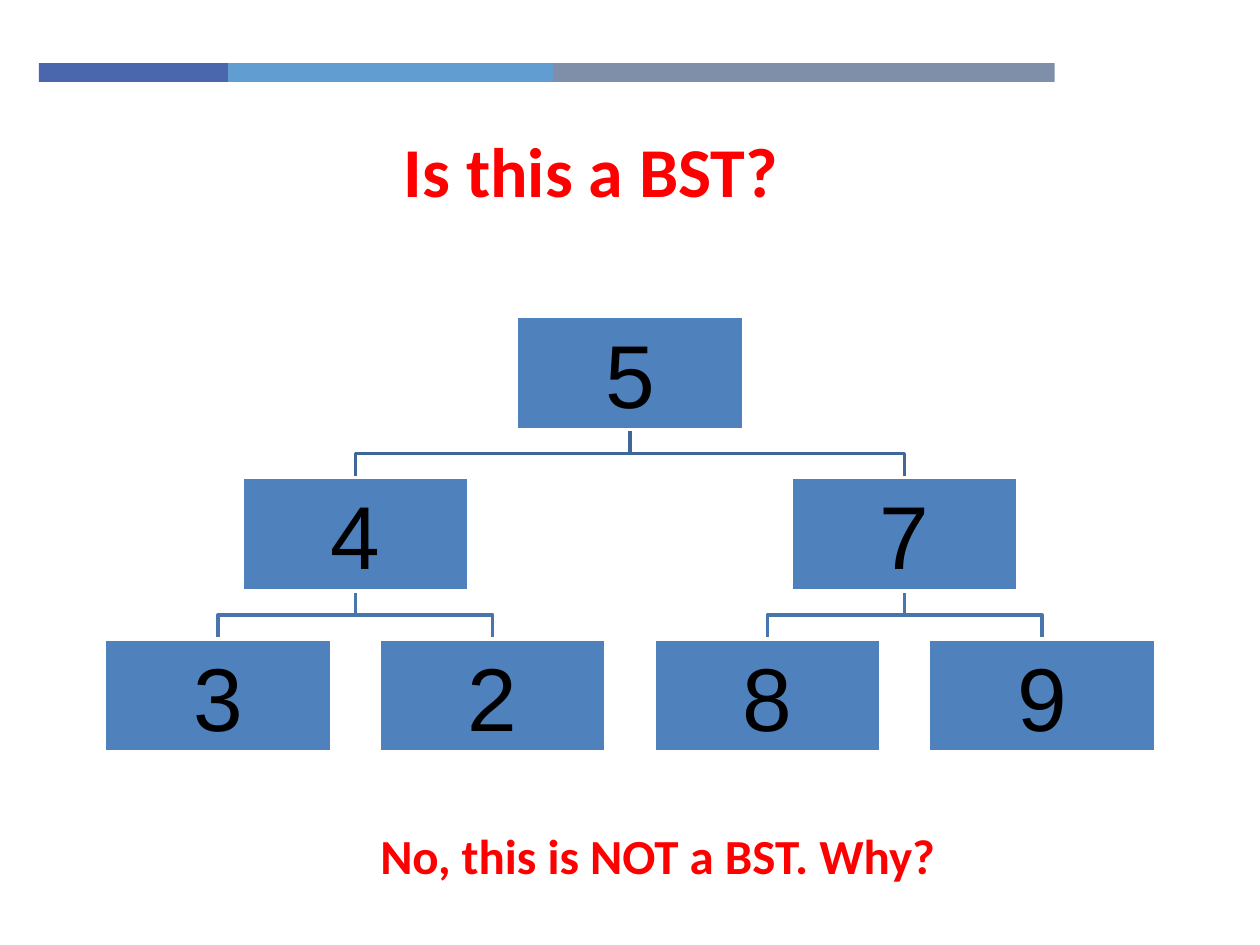
from dataclasses import dataclass

from pptx import Presentation, util as u
from pptx.dml.color import RGBColor
from pptx.enum import shapes, text

PX = 9144  # EMU per px, 100 px to the inch
COLORS = {
    "navy": "4A66AC", "sky": "629DD1", "slate": "7F8FA9",
    "node": "4F81BD", "edge": "FFFFFF", "ink": "000000", "red": "FF0000",
    "upper": "3F6797", "lower": "4875AC",
}
NODE_W, NODE_H = 180, 90
ROOT_X, ROOT_Y = 500, 251
STEP, SPREAD = 128, 218
LEVELS = ["5", "47", "3289"]


@dataclass
class Band:
    left: int
    width: int
    color: str


@dataclass
class Node:
    label: str
    mid: int
    top: int


@dataclass
class Label:
    words: str
    box: tuple[int, int, int, int]
    size: int
    wrap: bool
    align: text.PP_ALIGN
    anchor: text.MSO_ANCHOR


def rgb(name: str) -> RGBColor:
    return RGBColor.from_string(COLORS[name])


def add_run(frame, words: str, size: int, font: str, color: str,
            align: text.PP_ALIGN, bold: bool = False) -> None:
    para = frame.paragraphs[0]
    para.alignment = align
    run = para.add_run()
    run.text = words
    run.font.size = u.Pt(size)
    run.font.name = font
    run.font.bold = bold
    run.font.color.rgb = rgb(color)


def add_rect(slide, left: int, top: int, width: int, height: int, color: str):
    rect = slide.shapes.add_shape(
        shapes.MSO_SHAPE.RECTANGLE, *(n * PX for n in (left, top, width, height)))
    rect.shadow.inherit = False
    rect.fill.solid()
    rect.fill.fore_color.rgb = rgb(color)
    rect.line.fill.background()
    return rect


def draw_node(slide, node: Node) -> None:
    rect = add_rect(slide, node.mid - NODE_W // 2, node.top, NODE_W, NODE_H, "node")
    rect.line.color.rgb = rgb("edge")
    rect.line.width = u.Pt(2)
    frame = rect.text_frame
    frame.margin_left = frame.margin_right = 4 * PX
    frame.margin_top = frame.margin_bottom = 4 * PX
    frame.vertical_anchor = text.MSO_ANCHOR.MIDDLE
    frame.word_wrap = True
    add_run(frame, node.label, 51, "Arial", "ink", text.PP_ALIGN.CENTER)


def draw_link(slide, parent: Node, child: Node, color: str) -> None:
    start = parent.top + NODE_H
    bend = (start + child.top) // 2
    path = slide.shapes.build_freeform(parent.mid, start, scale=PX)
    path.add_line_segments(
        [(parent.mid, bend), (child.mid, bend), (child.mid, child.top)], close=False)
    link = path.convert_to_shape()
    link.shadow.inherit = False
    link.fill.background()
    link.line.color.rgb = rgb(color)
    link.line.width = u.Pt(2)


def draw_label(slide, label: Label) -> None:
    box = slide.shapes.add_textbox(*(n * PX for n in label.box))
    frame = box.text_frame
    frame.word_wrap = label.wrap
    frame.vertical_anchor = label.anchor
    if not label.wrap:
        frame.auto_size = text.MSO_AUTO_SIZE.SHAPE_TO_FIT_TEXT
    add_run(frame, label.words, label.size, "Calibri", "red", label.align, bold=True)


def plan_tree() -> list[list[Node]]:
    """Place each child half as far from its parent as the level above."""
    rows = [[Node(LEVELS[0], ROOT_X, ROOT_Y)]]
    for depth, labels in enumerate(LEVELS[1:], 1):
        shift = SPREAD // 2 ** (depth - 1)
        mids = [up.mid + side * shift for up in rows[-1] for side in (-1, 1)]
        rows.append([Node(name, mid, ROOT_Y + depth * STEP)
                     for name, mid in zip(labels, mids)])
    return rows


def main() -> None:
    deck = Presentation()
    deck.slide_width, deck.slide_height = 1000 * PX, 750 * PX
    slide = deck.slides.add_slide(deck.slide_layouts[6])

    # Top stripe
    for band in (Band(31, 150, "navy"), Band(181, 258, "sky"), Band(439, 398, "slate")):
        add_rect(slide, band.left, 50, band.width, 15, band.color)

    # Title
    draw_label(slide, Label("Is this a BST?", (48, 93, 842, 83), 40, True,
                            text.PP_ALIGN.CENTER, text.MSO_ANCHOR.MIDDLE))

    # Tree: links behind, nodes in front
    rows = plan_tree()
    for ups, downs, color in zip(rows, rows[1:], ("upper", "lower")):
        for i, child in enumerate(downs):
            draw_link(slide, ups[i // 2], child, color)
    for row in rows:
        for node in row:
            draw_node(slide, node)

    # Answer
    draw_label(slide, Label("No, this is NOT a BST. Why?", (292, 650, 466, 57), 28, False,
                            text.PP_ALIGN.LEFT, text.MSO_ANCHOR.TOP))

    deck.save("out.pptx")


if __name__ == "__main__":
    main()
